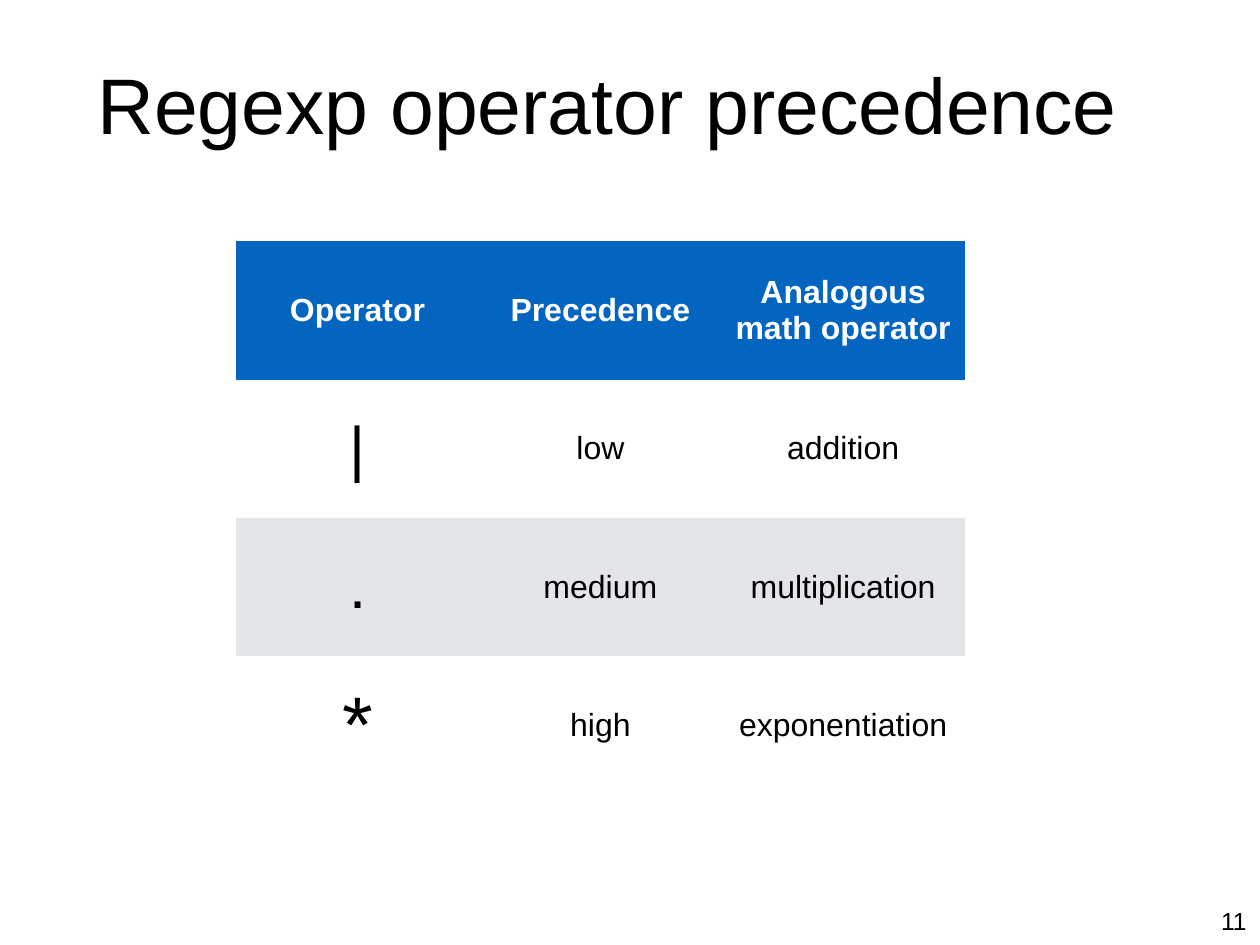
from pptx import Presentation
from pptx.dml.color import RGBColor
from pptx.enum.text import MSO_ANCHOR, MSO_AUTO_SIZE, PP_ALIGN
from pptx.oxml.ns import qn
from pptx.util import Pt

LEFT, CENTER = PP_ALIGN.LEFT, PP_ALIGN.CENTER
TOP, MIDDLE = MSO_ANCHOR.TOP, MSO_ANCHOR.MIDDLE
NO_FIT = MSO_AUTO_SIZE.NONE
PLAIN = "{2D5ABB26-0587-4C30-8999-92F81FD0307C}"  # no style, no grid
INSET = Pt(4)
COLORS = {"text": "000000", "head": "0365C0", "white": "FFFFFF", "band": "E3E5E8"}


def write(frame, text, size=26, color="text", bold=False, align=CENTER):
    frame.text = text
    para = frame.paragraphs[0]
    para.alignment = align
    font = para.runs[0].font
    font.name, font.size, font.bold = "Arial", Pt(size), bold
    font.color.rgb = RGBColor.from_string(COLORS[color])


def inset(box, anchor):
    box.margin_left = box.margin_right = INSET
    box.margin_top = box.margin_bottom = INSET
    box.vertical_anchor = anchor


deck = Presentation()
deck.slide_width, deck.slide_height = Pt(1024), Pt(768)
slide = deck.slides.add_slide(deck.slide_layouts[5])

# Title
title = slide.shapes.title
title.left, title.top, title.width, title.height = Pt(75), Pt(-1.5), Pt(874), Pt(170)
frame = title.text_frame
frame.word_wrap, frame.auto_size = True, NO_FIT
inset(frame, MIDDLE)
write(frame, "Regexp operator precedence", size=64, align=LEFT)

# Precedence table
rows = [
    ("Operator", "Precedence", "Analogous math operator"),
    ("|", "low", "addition"),
    (".", "medium", "multiplication"),
    ("*", "high", "exponentiation"),
]
fills = ["head", "white", "band", "white"]
signs = {"|": 50, ".": 50, "*": 64}
grid = slide.shapes.add_table(4, 3, Pt(192), Pt(196), Pt(592), Pt(450))
for style in grid.element.iter(qn("a:tableStyleId")):
    style.text = PLAIN
table = grid.table
for col in table.columns:
    col.width = Pt(197.33)
for r, (row, fill) in enumerate(zip(rows, fills)):
    table.rows[r].height = Pt(112.5)
    head = r == 0
    for c, text in enumerate(row):
        cell = table.cell(r, c)
        inset(cell, MIDDLE)
        cell.fill.solid()
        cell.fill.fore_color.rgb = RGBColor.from_string(COLORS[fill])
        write(cell.text_frame, text, size=signs.get(text, 26),
              color="white" if head else "text", bold=head)

# Page number
page = slide.shapes.add_textbox(Pt(988), Pt(732), Pt(29.5), Pt(32)).text_frame
page.word_wrap = False
inset(page, TOP)
write(page, "11", size=20)

deck.save("out.pptx")
